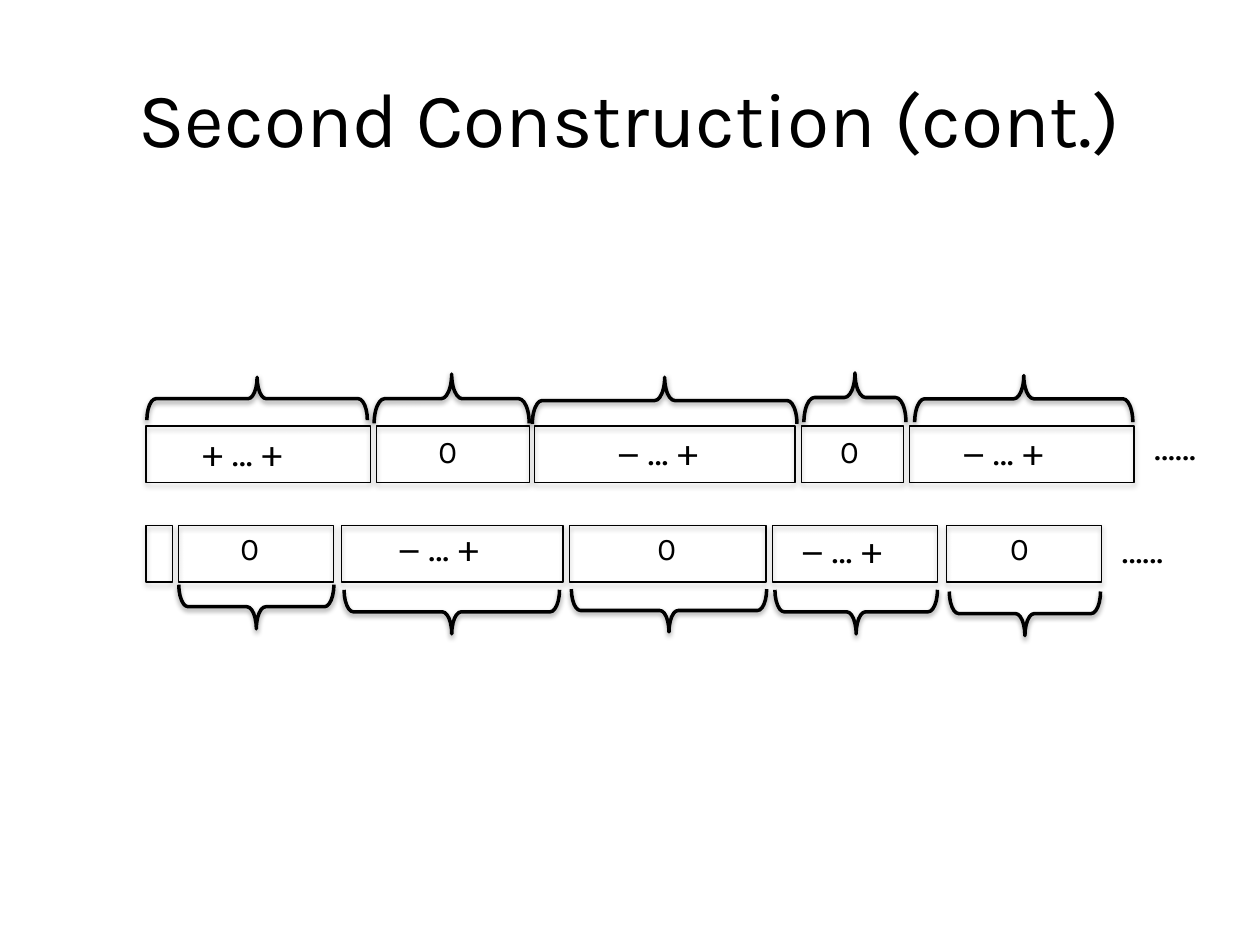
from lxml import etree
from pptx import Presentation
from pptx.dml.color import RGBColor
from pptx.enum.shapes import MSO_SHAPE
from pptx.enum.text import MSO_ANCHOR, PP_ALIGN
from pptx.oxml.ns import qn
from pptx.util import Pt

RECTANGLE = MSO_SHAPE.RECTANGLE
LEFT_BRACE = MSO_SHAPE.LEFT_BRACE
MIDDLE, TOP = MSO_ANCHOR.MIDDLE, MSO_ANCHOR.TOP
CENTER, LEFT = PP_ALIGN.CENTER, PP_ALIGN.LEFT

THEME = {
    "font": "Karla",
    "ink": RGBColor(0, 0, 0),
    "title": 44,
    "signs": 22,
    "zero": 18,
    "cell_line": 0.75,
    "brace_line": 2,
}

TITLE = "Second Construction (cont.)"
SIGNS_PLUS, SIGNS_MINUS, ZERO, DOTS = "+ … +", "− … +", "0", " ……"
LABEL_STYLES = {
    SIGNS_PLUS: (91.4, 38.9, "signs"),
    SIGNS_MINUS: (107.3, 38.9, "signs"),
    DOTS: (107.3, 38.9, "signs"),
    ZERO: (36.7, 33.1, "zero"),
}

CELL_HEIGHT = 32.4
ROWS = [
    {
        "top": 243.4,
        "brace_rotation": 90,
        "cells": [(83.5, 128.2), (215.3, 87.1), (305.3, 149), (457.9, 58.3), (519.8, 128.2)],
        "labels": [
            (SIGNS_PLUS, 108.7, 241.2), (ZERO, 243.4, 243.4), (SIGNS_MINUS, 346.3, 240.5),
            (ZERO, 473, 243.4), (SIGNS_MINUS, 543.6, 240.5), (DOTS, 647.3, 237.6),
        ],
        "braces": [
            (83.9, 215.6, 126, 24.5), (213.8, 213.8, 88.6, 28.1), (304.2, 215.6, 151.2, 26.6),
            (459.4, 213.1, 58.3, 28.1), (522.7, 214.6, 124.6, 26.6),
        ],
    },
    {
        "top": 300.2,
        "brace_rotation": 270,
        "cells": [
            (83.5, 15.1), (102.2, 88.6), (195.1, 126.7),
            (325.4, 112.3), (441.4, 94.3), (540.7, 88.6),
        ],
        "labels": [
            (ZERO, 130.3, 298.8), (SIGNS_MINUS, 221, 295.2), (ZERO, 368.6, 298.8),
            (SIGNS_MINUS, 451.4, 296.6), (ZERO, 570.2, 298.8), (DOTS, 628.6, 296.6),
        ],
        "braces": [
            (102.2, 334.1, 88.6, 25.2), (196.6, 337, 123.1, 25.2), (326.5, 336.6, 111.6, 24.5),
            (442.8, 337, 92.9, 25.2), (542.5, 338, 86.4, 25.2),
        ],
    },
]


def add_shadow(shape, distance, opacity):
    effects = shape._element.spPr.find(qn("a:effectLst"))
    shadow = etree.SubElement(
        effects, qn("a:outerShdw"), blurRad=str(Pt(3.1)), dist=str(Pt(distance)),
        dir="5400000", rotWithShape="0",
    )
    color = etree.SubElement(shadow, qn("a:srgbClr"), val=str(THEME["ink"]))
    etree.SubElement(color, qn("a:alpha"), val=str(opacity * 1000))


def add_outline(slide, kind, left, top, width, height, line_style, distance, opacity):
    shape = slide.shapes.add_shape(kind, Pt(left), Pt(top), Pt(width), Pt(height))
    shape.shadow.inherit = False
    shape.fill.background()
    shape.line.color.rgb = THEME["ink"]
    shape.line.width = Pt(THEME[line_style])
    add_shadow(shape, distance, opacity)
    return shape


def add_brace(slide, left, top, length, depth, rotation):
    shift = (length - depth) / 2
    brace = add_outline(
        slide, LEFT_BRACE, left + shift, top - shift, depth, length, "brace_line", 1.6, 38
    )
    brace.rotation = rotation
    brace.adjustments[0] = 0.213
    brace.adjustments[1] = 0.5


def add_text(slide, text, left, top, width, height, size, alignment=LEFT, anchor=TOP):
    box = slide.shapes.add_textbox(Pt(left), Pt(top), Pt(width), Pt(height))
    frame = box.text_frame
    frame.word_wrap = True
    frame.vertical_anchor = anchor
    paragraph = frame.paragraphs[0]
    paragraph.text = text
    paragraph.alignment = alignment
    paragraph.font.name = THEME["font"]
    paragraph.font.size = Pt(THEME[size])
    paragraph.font.color.rgb = THEME["ink"]


def main():
    presentation = Presentation()
    presentation.slide_width, presentation.slide_height = Pt(720), Pt(540)
    slide = presentation.slides.add_slide(presentation.slide_layouts[6])
    add_text(slide, TITLE, 36, 21.6, 648, 90, "title", CENTER, MIDDLE)
    for row in ROWS:
        for left, width in row["cells"]:
            add_outline(
                slide, RECTANGLE, left, row["top"], width, CELL_HEIGHT, "cell_line", 1.8, 35
            )
        for label, left, top in row["labels"]:
            add_text(slide, label, left, top, *LABEL_STYLES[label])
        for brace in row["braces"]:
            add_brace(slide, *brace, row["brace_rotation"])
    presentation.save("out.pptx")


if __name__ == "__main__":
    main()
